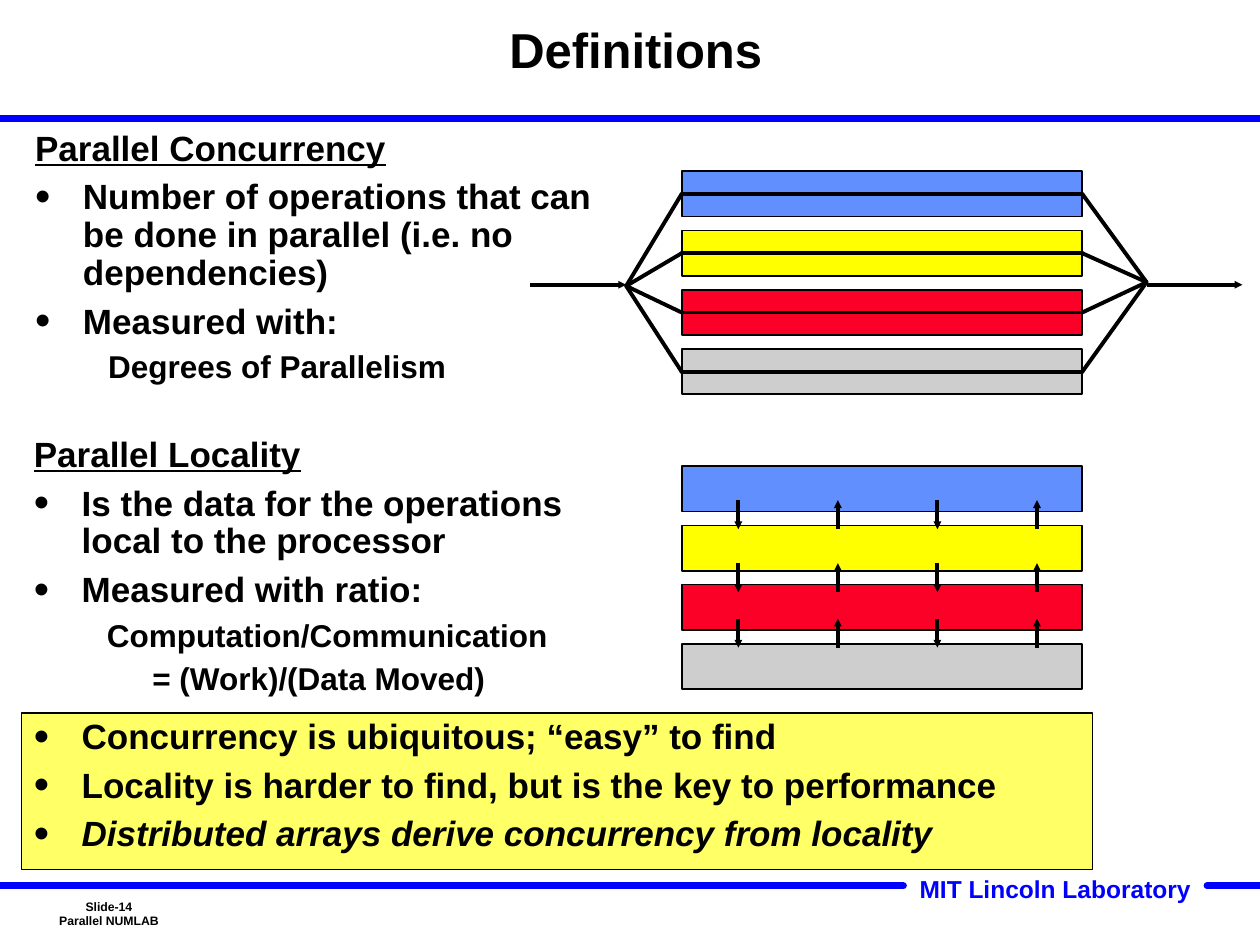
"""Build the slide on parallel concurrency and locality."""
from lxml.etree import SubElement
from pptx import Presentation
from pptx.dml.color import RGBColor
from pptx.enum.shapes import MSO_CONNECTOR, MSO_SHAPE
from pptx.enum.text import MSO_ANCHOR, PP_ALIGN
from pptx.oxml.ns import qn
from pptx.util import Inches, Pt

HUE = {"ink": "000000", "rule": "0000FF", "note": "FFFF66", "blue": "618FFD",
       "yellow": "FFFF00", "red": "FC0128", "gray": "CECECE"}
BARS = ["blue", "yellow", "red", "gray"]
STYLES = {
    "title": dict(size=28, align=PP_ALIGN.CENTER, lead=Pt(30)),
    "lab": dict(size=14, hue="rule"),
    "foot": dict(size=7, align=PP_ALIGN.CENTER),
    "head": dict(size=20, lead=0.9, left=0.38, first=-0.38, under=True),
    "point": dict(size=20, lead=0.9, gap=6.2, left=0.38, first=-0.38, dot=True),
    "sub": dict(size=18, lead=0.9, gap=5.6, left=0.95, first=-0.37),
    "deep": dict(size=18, lead=0.9, gap=5.6, left=0.94),
}
STYLES["key"] = STYLES["point"] | dict(italic=True)
TEXTS = [
    ((1.17, 0, 7.75, 0.83), True, MSO_ANCHOR.MIDDLE, [("title", "Definitions")]),
    ((7.2, 6.89, 2.36, 0.33), False, MSO_ANCHOR.TOP,
     [("lab", "MIT Lincoln Laboratory")]),
    ((0.3, 7, 1.13, 0.5), True, MSO_ANCHOR.MIDDLE,
     [("foot", "Slide-14"), ("foot", "Parallel NUMLAB")]),
    ((0.18, 0.99, 5.01, 2.32), True, MSO_ANCHOR.TOP, [
        ("head", "Parallel Concurrency"),
        ("point", "Number of operations that can be done in parallel "
                  "(i.e. no dependencies)"),
        ("point", "Measured with:"),
        ("sub", "Degrees of Parallelism")]),
    ((0.17, 3.42, 5.01, 2.29), True, MSO_ANCHOR.TOP, [
        ("head", "Parallel Locality"),
        ("point", "Is the data for the operations local to the processor"),
        ("point", "Measured with ratio:"),
        ("sub", "Computation/Communication"),
        ("deep", "= (Work)/(Data Moved)")]),
]
NOTES = [("point", "Concurrency is ubiquitous; “easy” to find"),
         ("point", "Locality is harder to find, but is the key to performance"),
         ("key", "Distributed arrays derive concurrency from locality")]
RULES = [(0, 10, 0.94), (0, 7.17, 7.03), (9.58, 10, 7.03)]
LEFT, WIDE, HIGH, PITCH = 5.41, 3.18, 0.36, 0.47
RIGHT = LEFT + WIDE
FORK, JOIN = (4.97, 2.27), (9.1, 2.24)
FLOW, REACH = 2.26, 0.76
SWAPS, COLS, STEP, SPAN = [3.97, 4.47, 4.91], 4, 0.79, 0.23


def tint(name):
    return RGBColor.from_string(HUE[name])


def write(frame, lines):
    for i, (kind, text) in enumerate(lines):
        look = STYLES[kind]
        para = frame.paragraphs[0] if i == 0 else frame.add_paragraph()
        para.text = text
        props = para._p.get_or_add_pPr()
        props.set("marL", str(Inches(look.get("left", 0))))
        props.set("indent", str(Inches(look.get("first", 0))))
        if look.get("dot"):
            color = SubElement(props, qn("a:buClr"))
            SubElement(color, qn("a:srgbClr"), val=HUE["ink"])
            SubElement(props, qn("a:buSzPct"), val="125000")
            SubElement(props, qn("a:buFont"), typeface="Arial")
            SubElement(props, qn("a:buChar"), char="•")
        para.alignment = look.get("align", PP_ALIGN.LEFT)
        para.line_spacing = look.get("lead", 1.0)
        para.space_before = Pt(look.get("gap", 0) if i else 0)
        font = para.font
        font.name, font.size, font.bold = "Arial", Pt(look["size"]), True
        font.italic = look.get("italic", False)
        font.underline = look.get("under", False)
        font.color.rgb = tint(look.get("hue", "ink"))


def label(slide, place, wrap, anchor, lines):
    frame = slide.shapes.add_textbox(*map(Inches, place)).text_frame
    frame.word_wrap = wrap
    frame.vertical_anchor = anchor
    write(frame, lines)


def block(slide, place, hue, weight):
    shape = slide.shapes.add_shape(MSO_SHAPE.RECTANGLE, *map(Inches, place))
    shape.shadow.inherit = False
    shape.fill.solid()
    shape.fill.fore_color.rgb = tint(hue)
    shape.line.color.rgb = tint("ink")
    shape.line.width = Pt(weight)
    return shape


def link(slide, start, end, hue="ink", weight=2.25, arrow=False):
    line = slide.shapes.add_connector(
        MSO_CONNECTOR.STRAIGHT, *map(Inches, (*start, *end)))
    line.line.color.rgb = tint(hue)
    line.line.width = Pt(weight)
    SubElement(line._element.spPr, qn("a:effectLst"))
    pen = line.line._get_or_add_ln()
    if arrow:
        SubElement(pen, qn("a:tailEnd"), type="triangle", w="sm", len="sm")
    else:
        pen.set("cap", "rnd")


def stack(slide, top):
    for i, hue in enumerate(BARS):
        block(slide, (LEFT, top + i * PITCH, WIDE, HIGH), hue, 1)


def fan(slide, top):
    stack(slide, top)
    for x in (FORK[0] - REACH, JOIN[0]):
        link(slide, (x, FLOW), (x + REACH, FLOW), arrow=True)
    for i in range(len(BARS)):
        y = top + HIGH / 2 + i * PITCH
        stops = [FORK, (LEFT, y), (RIGHT, y), JOIN]
        for start, end in zip(stops, stops[1:]):
            link(slide, start, end)


def swap(slide, top):
    stack(slide, top)
    for y in SWAPS:
        for i in range(COLS):
            x = LEFT + 0.45 + i * STEP
            ends = [(x, y), (x, y + SPAN)]
            link(slide, *(ends[::-1] if i % 2 else ends), arrow=True)


def main():
    deck = Presentation()
    deck.slide_width, deck.slide_height = Inches(10), Inches(7.5)
    slide = deck.slides.add_slide(deck.slide_layouts[6])
    for start, end, y in RULES:
        link(slide, (start, y), (end, y), "rule", 4)
    for item in TEXTS:
        label(slide, *item)
    fan(slide, 1.36)
    swap(slide, 3.7)
    note = block(slide, (0.17, 5.66, 8.5, 1.24), "note", 0.75).text_frame
    note.word_wrap = True
    note.vertical_anchor = MSO_ANCHOR.TOP
    write(note, NOTES)
    deck.save("out.pptx")


if __name__ == "__main__":
    main()
